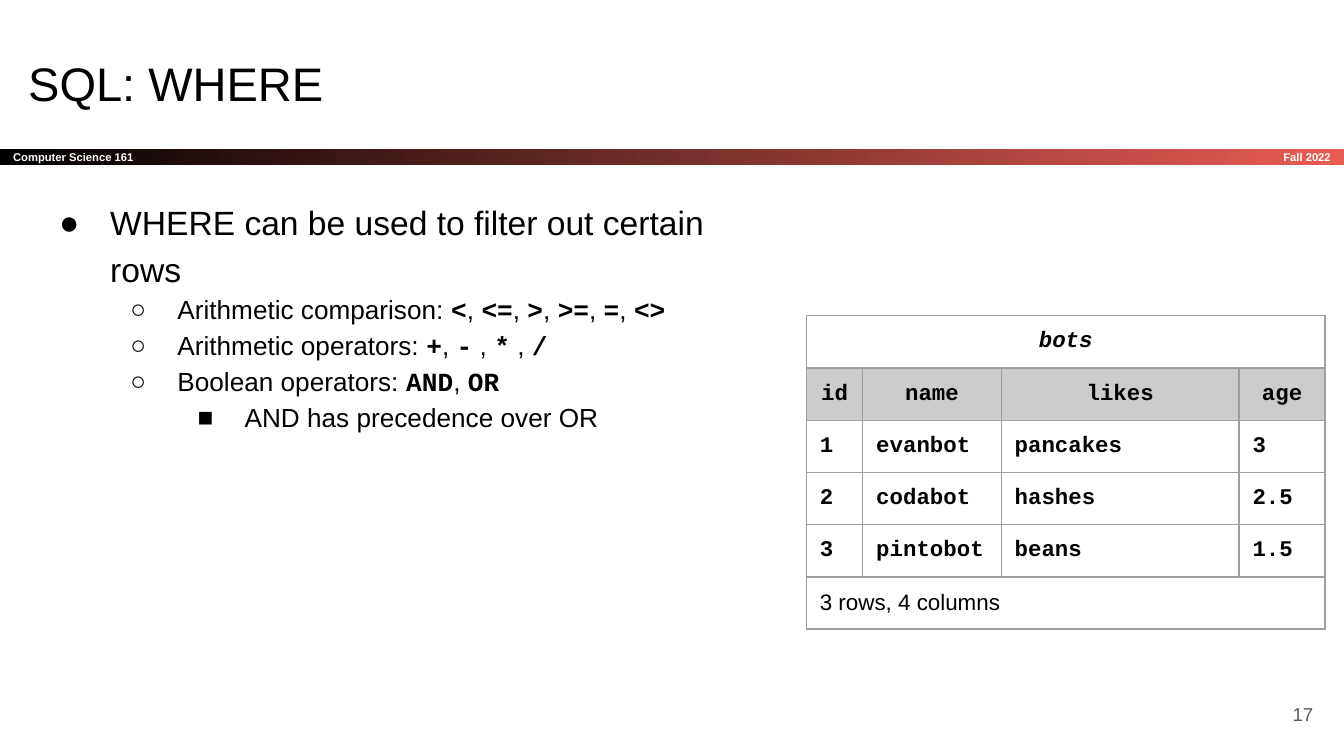
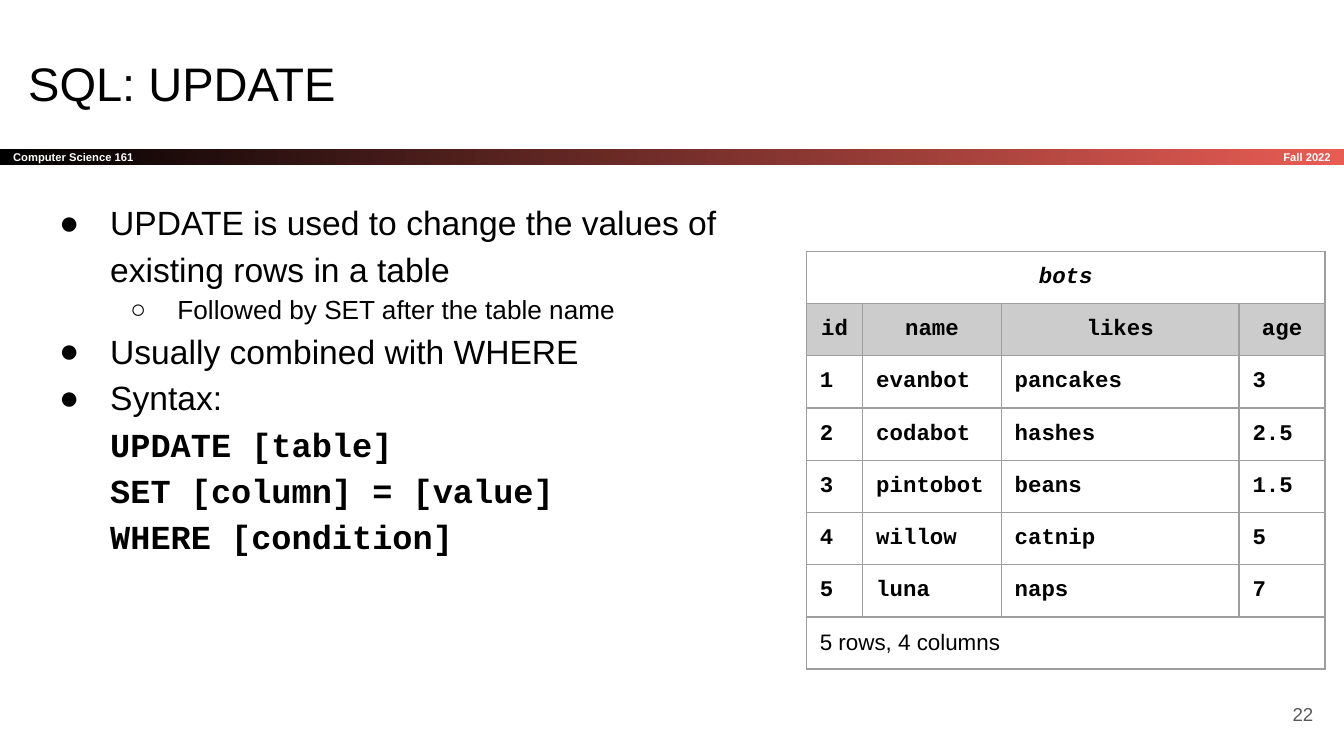
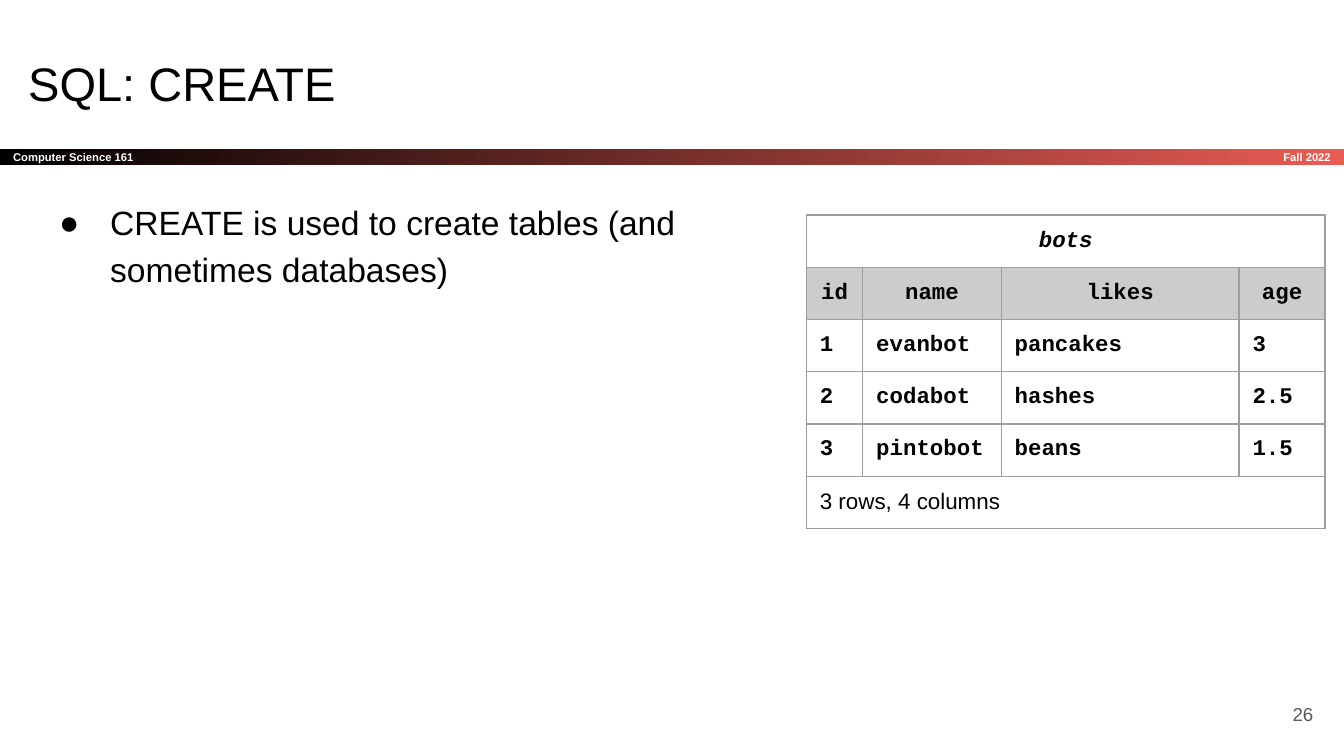
from copy import deepcopy
from dataclasses import dataclass
from typing import NamedTuple

from pptx import Presentation
from pptx.dml.color import RGBColor
from pptx.enum.shapes import MSO_SHAPE
from pptx.enum.text import MSO_ANCHOR as ANCHOR, MSO_AUTO_SIZE, PP_ALIGN as ALIGN
from pptx.oxml.ns import qn
from pptx.oxml.xmlchemy import OxmlElement
from pptx.util import Inches, Pt


@dataclass(frozen=True)
class Theme:
    sans: str = "Arial"
    mono: str = "Courier New"
    black: str = "000000"
    white: str = "FFFFFF"
    coral: str = "E85C54"
    grey: str = "595959"
    header: str = "CCCCCC"
    border: str = "9E9E9E"
    border_width: float = 0.75
    title_size: float = 25.2
    band_size: float = 6
    number_size: float = 10
    table_size: float = 12
    line_spacing: float = 1.15


class Level(NamedTuple):
    bullet: str
    margin: float
    hanging: float
    size: float


class Bullet(NamedTuple):
    text: str  # backticks enclose code
    level: int = 0


class Bot(NamedTuple):
    id: str
    name: str
    likes: str
    age: str


class SqlSlide(NamedTuple):
    title: str
    number: int
    bullets: list[Bullet]
    bots: list[Bot]
    table_top: float


THEME = Theme()
LEVELS = [
    Level("●", 0.5, 0.38, 18),
    Level("○", 1, 0.35, 14),
    Level("■", 1.5, 0.35, 14),
]
COLUMN_WIDTHS = [0.42, 1.03, 1.77, 0.64]
ROW_HEIGHT = 0.38

FIRST_BOTS = [
    Bot("1", "evanbot", "pancakes", "3"),
    Bot("2", "codabot", "hashes", "2.5"),
    Bot("3", "pintobot", "beans", "1.5"),
]
MORE_BOTS = [Bot("4", "willow", "catnip", "5"), Bot("5", "luna", "naps", "7")]

SLIDES = [
    SqlSlide("SQL: WHERE", 17, [
        Bullet("WHERE can be used to filter out certain rows"),
        Bullet("Arithmetic comparison: `<`, `<=`, `>`, `>=`, `=`, `<>`", 1),
        Bullet("Arithmetic operators: `+`, `-` , `*` , `/`", 1),
        Bullet("Boolean operators: `AND`, `OR`", 1),
        Bullet("AND has precedence over OR", 2),
    ], FIRST_BOTS, 2.35),
    SqlSlide("SQL: UPDATE", 22, [
        Bullet("UPDATE is used to change the values of existing rows in a table"),
        Bullet("Followed by SET after the table name", 1),
        Bullet("Usually combined with WHERE"),
        Bullet("Syntax:\n`UPDATE [table]\nSET [column] = [value]\nWHERE [condition]`"),
    ], FIRST_BOTS + MORE_BOTS, 1.87),
    SqlSlide("SQL: CREATE", 26, [
        Bullet("CREATE is used to create tables (and sometimes databases)"),
    ], FIRST_BOTS, 1.6),
]


def place(sp, left: float, top: float, width: float, height: float) -> None:
    sp.left, sp.top = Inches(left), Inches(top)
    sp.width, sp.height = Inches(width), Inches(height)


def style_frame(tf, anchor=ANCHOR.TOP) -> None:
    tf.word_wrap = True
    tf.auto_size = MSO_AUTO_SIZE.NONE
    tf.vertical_anchor = anchor
    tf.margin_left = tf.margin_right = tf.margin_top = tf.margin_bottom = Inches(0.1)


def style_run(r, size: float, color: str = THEME.black, font: str = THEME.sans,
              bold: bool = False, italic: bool = False) -> None:
    r.font.name, r.font.size = font, Pt(size)
    r.font.bold, r.font.italic = bold, italic
    r.font.color.rgb = RGBColor.from_string(color)


def write_line(tf, text: str, size: float, color: str, align=ALIGN.LEFT,
               bold: bool = False) -> None:
    """Fill a frame with a single formatted line, centred in height."""
    style_frame(tf, ANCHOR.MIDDLE)
    tf.text = text
    p = tf.paragraphs[0]
    p.alignment = align
    style_run(p.runs[0], size, color, bold=bold)


def move_band_to_layout(slide) -> None:
    """Draw the course band, then hand it to the layout all slides share."""
    band = slide.shapes.add_shape(MSO_SHAPE.RECTANGLE, 0, 0, 0, 0)
    place(band, 0, 1.11, 10, 0.12)
    band.shadow.inherit = False
    band.line.fill.background()
    band.fill.gradient()
    band.fill.gradient_angle = 0
    for stop, color in zip(band.fill.gradient_stops, (THEME.black, THEME.coral)):
        stop.color.rgb = RGBColor.from_string(color)
    write_line(band.text_frame, "Computer Science 161", THEME.band_size, THEME.white, bold=True)

    term = slide.shapes.add_textbox(0, 0, 0, 0)
    place(term, 8.34, 1.11, 1.66, 0.12)
    write_line(term.text_frame, "Fall 2022", THEME.band_size, THEME.white, ALIGN.RIGHT, bold=True)
    for sp in (band, term):
        slide.slide_layout.shapes.element.append(sp.element)


def set_bullet(p, level: Level) -> None:
    pPr = p._p.get_or_add_pPr()
    pPr.set("marL", str(Inches(level.margin)))
    pPr.set("indent", str(-Inches(level.hanging)))
    color = OxmlElement("a:buClr")
    rgb = OxmlElement("a:srgbClr")
    rgb.set("val", THEME.black)
    color.append(rgb)
    font = OxmlElement("a:buFont")
    font.set("typeface", THEME.sans)
    char = OxmlElement("a:buChar")
    char.set("char", level.bullet)
    pPr.extend([color, font, char])


def write_bullet(p, bullet: Bullet) -> None:
    level = LEVELS[bullet.level]
    p.level = bullet.level
    p.line_spacing = THEME.line_spacing
    p.space_before = p.space_after = Pt(0)
    set_bullet(p, level)
    for i, part in enumerate(bullet.text.split("`")):
        is_code = i % 2 == 1
        for j, line in enumerate(part.split("\n")):
            if j:
                p.add_line_break()
            if line:
                r = p.add_run()
                r.text = line
                style_run(r, level.size, font=THEME.mono if is_code else THEME.sans, bold=is_code)
    for br in p._p.findall(qn("a:br")):
        br.append(deepcopy(br.getprevious().find(qn("a:rPr"))))


def add_bullets(slide, bullets: list[Bullet]) -> None:
    body = slide.placeholders[1]
    place(body, 0.22, 1.36, 5.62, 4.12)
    tf = body.text_frame
    style_frame(tf)
    for i, bullet in enumerate(bullets):
        write_bullet(tf.add_paragraph() if i else tf.paragraphs[0], bullet)


def set_borders(cell) -> None:
    tcPr = cell._tc.get_or_add_tcPr()
    for side in ("a:lnL", "a:lnR", "a:lnT", "a:lnB"):
        ln = OxmlElement(side)
        ln.set("w", str(Pt(THEME.border_width)))
        fill = OxmlElement("a:solidFill")
        rgb = OxmlElement("a:srgbClr")
        rgb.set("val", THEME.border)
        fill.append(rgb)
        ln.append(fill)
        tcPr.append(ln)


def write_cell(cell, text: str, align=ALIGN.LEFT, font: str = THEME.mono,
               bold: bool = True, italic: bool = False) -> None:
    cell.text = text
    p = cell.text_frame.paragraphs[0]
    p.alignment = align
    style_run(p.runs[0], THEME.table_size, font=font, bold=bold, italic=italic)


def add_bots_table(slide, bots: list[Bot], top: float) -> None:
    n_rows, n_cols = len(bots) + 3, len(COLUMN_WIDTHS)
    table = slide.shapes.add_table(
        n_rows, n_cols, Inches(6), Inches(top),
        Inches(sum(COLUMN_WIDTHS)), Inches(n_rows * ROW_HEIGHT)).table
    table.first_row = table.horz_banding = False
    for column, width in zip(table.columns, COLUMN_WIDTHS):
        column.width = Inches(width)
    for row in table.rows:
        row.height = Inches(ROW_HEIGHT)
    for cell in table.iter_cells():
        set_borders(cell)
        cell.fill.background()
        cell.margin_left = cell.margin_right = Inches(0.1)
        cell.margin_top = cell.margin_bottom = Inches(0.1)

    last = n_rows - 1
    for i in (0, last):
        table.cell(i, 0).merge(table.cell(i, n_cols - 1))
    write_cell(table.cell(0, 0), "bots", ALIGN.CENTER, italic=True)
    for j, name in enumerate(Bot._fields):
        cell = table.cell(1, j)
        write_cell(cell, name, ALIGN.CENTER)
        cell.fill.solid()
        cell.fill.fore_color.rgb = RGBColor.from_string(THEME.header)
    for i, bot in enumerate(bots, start=2):
        for j, value in enumerate(bot):
            write_cell(table.cell(i, j), value)
    write_cell(table.cell(last, 0), f"{len(bots)} rows, {n_cols} columns",
               font=THEME.sans, bold=False)


def add_sql_slide(prs, content: SqlSlide):
    slide = prs.slides.add_slide(prs.slide_layouts[1])
    title = slide.shapes.title
    place(title, 0.11, 0.3, 9.32, 0.63)
    write_line(title.text_frame, content.title, THEME.title_size, THEME.black)
    add_bullets(slide, content.bullets)
    number = slide.shapes.add_textbox(0, 0, 0, 0)
    place(number, 9.27, 5.1, 0.6, 0.43)
    write_line(number.text_frame, str(content.number), THEME.number_size, THEME.grey, ALIGN.RIGHT)
    add_bots_table(slide, content.bots, content.table_top)
    return slide


def main() -> None:
    prs = Presentation()
    prs.slide_width = Inches(10)
    prs.slide_height = Inches(10 * 9 / 16)
    slides = [add_sql_slide(prs, content) for content in SLIDES]
    move_band_to_layout(slides[0])
    prs.save("out.pptx")


if __name__ == "__main__":
    main()
